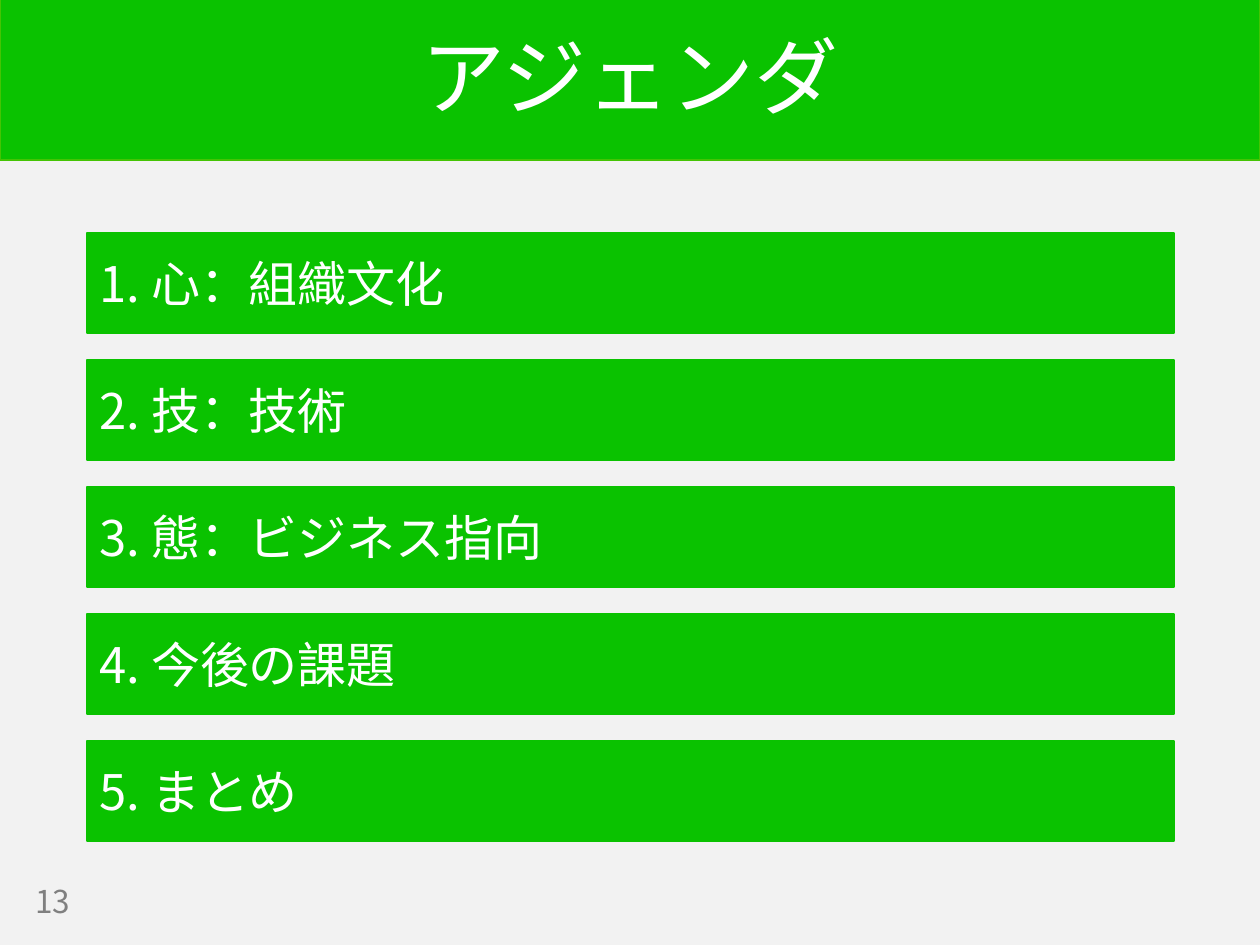
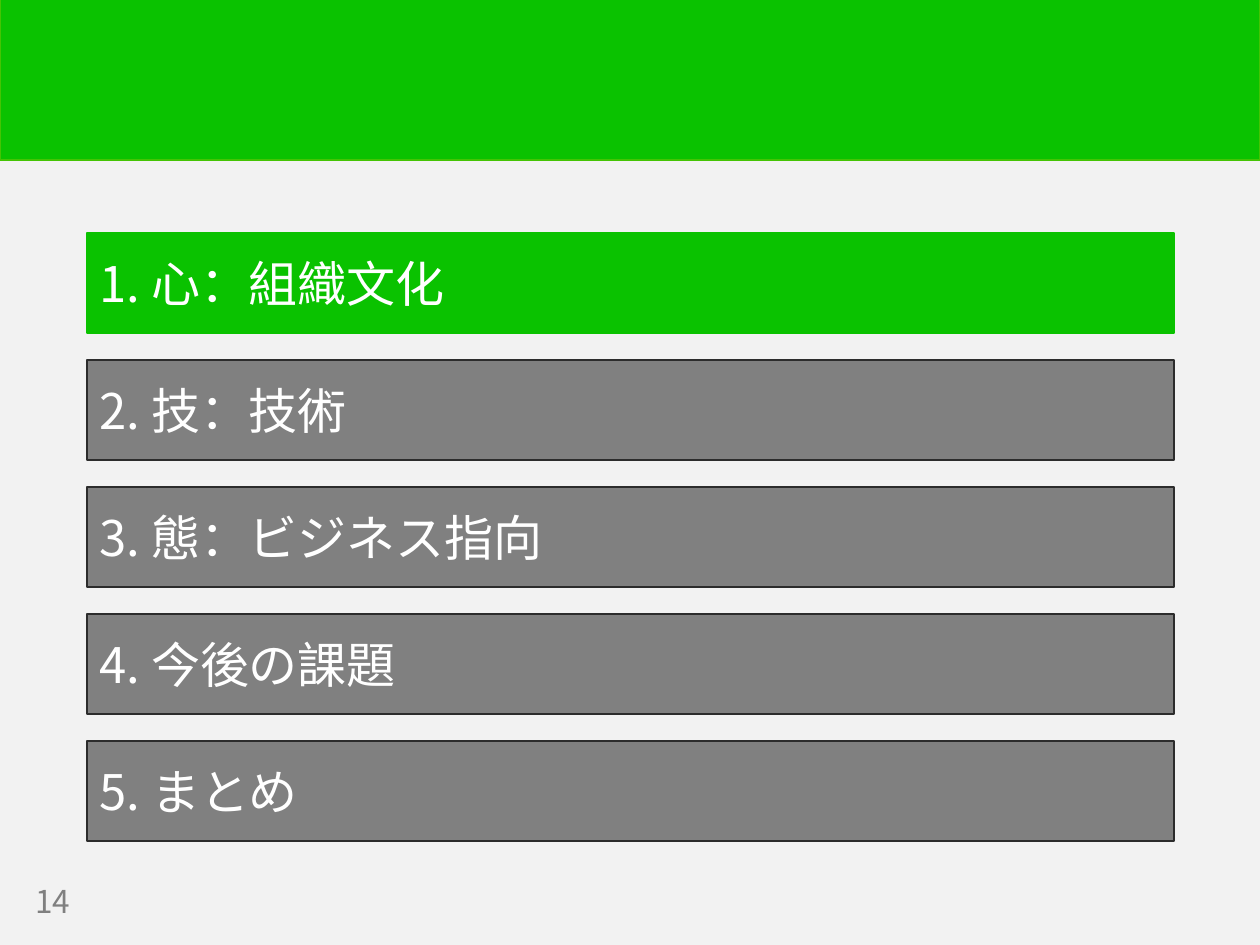
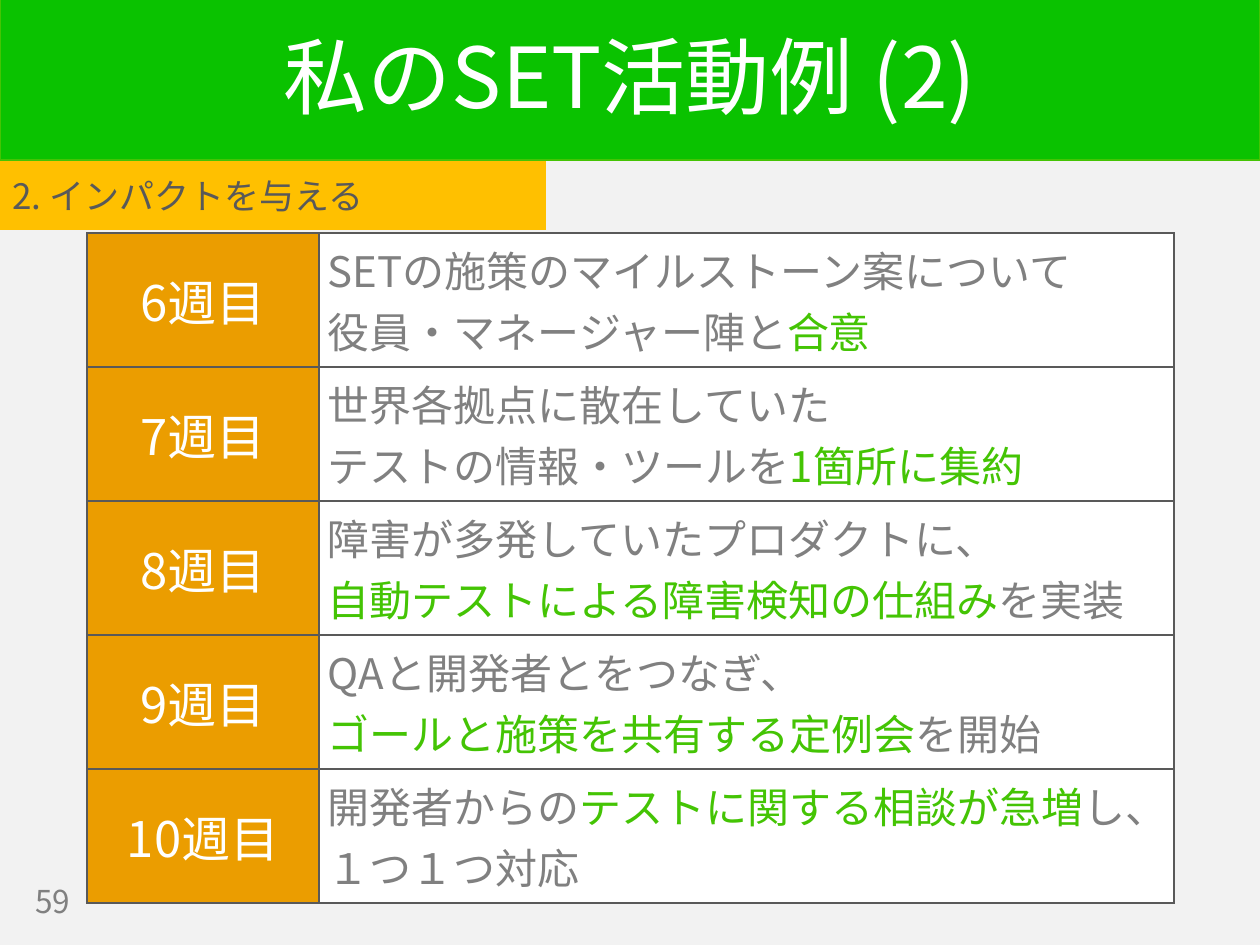
from lxml import etree
from pptx import Presentation
from pptx import util as u
from pptx.dml.color import RGBColor
from pptx.enum import shapes, text
from pptx.oxml import ns

AGENDA = ["1. 心：組織文化", "2. 技：技術", "3. 態：ビジネス指向", "4. 今後の課題", "5. まとめ"]
AGENDA_SLIDES = [
    {"page": "13", "title": "アジェンダ", "active": range(5)},
    {"page": "14", "title": "", "active": [0]},
]
ACTIVITY = {"page": "59", "title": "私のSET活動例 (2)", "tag": "2. インパクトを与える"}

GREEN, LIME, GREY, DARK = "0AC200", "44C404", "808080", "595959"
WHITE, BACKGROUND, ORANGE, YELLOW, BLACK = "FFFFFF", "F2F2F2", "EB9D00", "FFC000", "2C2C2C"
FONT = "Noto Sans CJK JP"

WEEKS = [
    ("6週目", [[("SETの施策のマイルストーン案について", GREY)],
             [("役員・マネージャー陣と", GREY), ("合意", LIME)]]),
    ("7週目", [[("世界各拠点に散在していた", GREY)],
             [("テストの情報・ツールを", GREY), ("1箇所に集約", LIME)]]),
    ("8週目", [[("障害が多発していたプロダクトに、", GREY)],
             [("自動テストによる障害検知の仕組み", LIME), ("を実装", GREY)]]),
    ("9週目", [[("QAと開発者とをつなぎ、", GREY)],
             [("ゴールと施策を共有する定例会", LIME), ("を開始", GREY)]]),
    ("10週目", [[("開発者からの", GREY), ("テストに関する相談が急増", LIME), ("し、１つ１つ対応", GREY)]]),
]

LEFT, TOP, WIDTH = 87, 233, 1087
BAR_HEIGHT, BAR_PITCH = 100, 127
COLUMNS, ROW_HEIGHT = (232, 855), 134


def px(n):
    return u.Emu(round(n * 914400 / 126))


def rgb(value):
    return RGBColor.from_string(value)


def paint(fill, color):
    fill.solid()
    fill.fore_color.rgb = rgb(color)


def write(tf, lines, size, align=text.PP_ALIGN.LEFT, spacing=None):
    tf.word_wrap = True
    for i, runs in enumerate(lines):
        p = tf.paragraphs[0] if i == 0 else tf.add_paragraph()
        p.alignment = align
        p.line_spacing = spacing
        for words, color in runs:
            r = p.add_run()
            r.text = words
            for name, value in {"name": FONT, "size": u.Pt(size)}.items():
                setattr(r.font, name, value)
            r.font.color.rgb = rgb(color)
            etree.SubElement(r.font._element, ns.qn("a:ea"), typeface=FONT)


def add_rect(s, box, fill, line=None, weight=0.75):
    sp = s.shapes.add_shape(shapes.MSO_SHAPE.RECTANGLE, *map(px, box))
    sp.shadow.inherit = False
    paint(sp.fill, fill)
    if line:
        sp.line.color.rgb = rgb(line)
        sp.line.width = u.Pt(weight)
    else:
        sp.line.fill.background()
    sp.text_frame.vertical_anchor = text.MSO_ANCHOR.MIDDLE
    return sp


def add_text(s, box, words, size, color, **style):
    tf = s.shapes.add_textbox(*map(px, box)).text_frame
    tf.vertical_anchor = text.MSO_ANCHOR.MIDDLE
    write(tf, [[(words, color)]], size, **style)


def add_slide(prs, page, title):
    s = prs.slides.add_slide(prs.slide_layouts[6])
    add_rect(s, (0, -1, 1260, 161), GREEN, LIME, 1)
    if title:
        add_text(s, (0, 45, 1260, 72), title, 48, WHITE,
                 align=text.PP_ALIGN.CENTER, spacing=0.9)
    add_text(s, (23, 876, 100, 49), page, 18, GREY)
    return s


def add_agenda(s, active):
    for i, item in enumerate(AGENDA):
        fill, line = (GREEN, GREEN) if i in active else (GREY, BLACK)
        bar = add_rect(s, (LEFT, TOP + i * BAR_PITCH, WIDTH, BAR_HEIGHT), fill, line)
        write(bar.text_frame, [[(item, WHITE)]], 28)


def add_borders(cell):
    tc_pr = cell._tc.get_or_add_tcPr()
    for side in ("lnL", "lnR", "lnT", "lnB"):
        ln = etree.SubElement(tc_pr, ns.qn(f"a:{side}"), w=str(u.Pt(1)))
        fill = etree.SubElement(ln, ns.qn("a:solidFill"))
        etree.SubElement(fill, ns.qn("a:srgbClr"), val=DARK)


def fill_cell(cell, lines, size, fill, align):
    add_borders(cell)
    paint(cell.fill, fill)
    cell.vertical_anchor = text.MSO_ANCHOR.MIDDLE
    for side, margin in {"left": 9, "right": 9, "top": 6, "bottom": 6}.items():
        setattr(cell, f"margin_{side}", px(margin))
    write(cell.text_frame, lines, size, align)


def add_weeks(s):
    table = s.shapes.add_table(len(WEEKS), len(COLUMNS), px(LEFT), px(TOP), px(WIDTH),
                               px(ROW_HEIGHT * len(WEEKS))).table
    table.first_row = table.horz_banding = False
    for column, width in zip(table.columns, COLUMNS):
        column.width = px(width)
    for i, (week, lines) in enumerate(WEEKS):
        table.rows[i].height = px(ROW_HEIGHT)
        fill_cell(table.cell(i, 0), [[(week, WHITE)]], 28, ORANGE, text.PP_ALIGN.CENTER)
        fill_cell(table.cell(i, 1), lines, 24, WHITE, text.PP_ALIGN.LEFT)


def main():
    prs = Presentation()
    prs.slide_width, prs.slide_height = px(1260), px(945)
    paint(prs.slide_master.background.fill, BACKGROUND)
    for agenda in AGENDA_SLIDES:
        add_agenda(add_slide(prs, agenda["page"], agenda["title"]), agenda["active"])
    s = add_slide(prs, ACTIVITY["page"], ACTIVITY["title"])
    add_weeks(s)
    tag = add_rect(s, (0, 161, 546, 69), YELLOW)
    write(tag.text_frame, [[(ACTIVITY["tag"], DARK)]], 20)
    prs.save("out.pptx")


if __name__ == "__main__":
    main()
